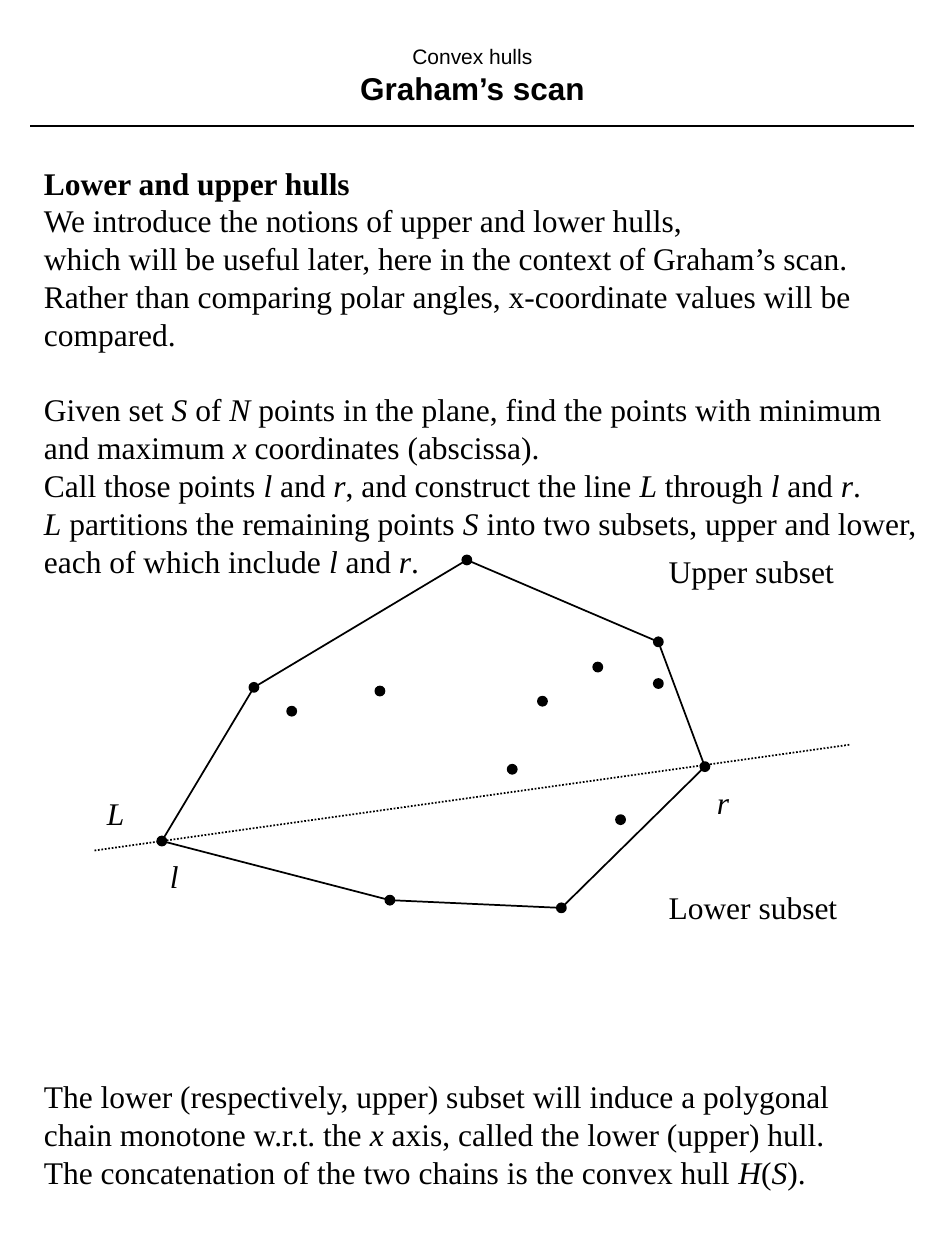
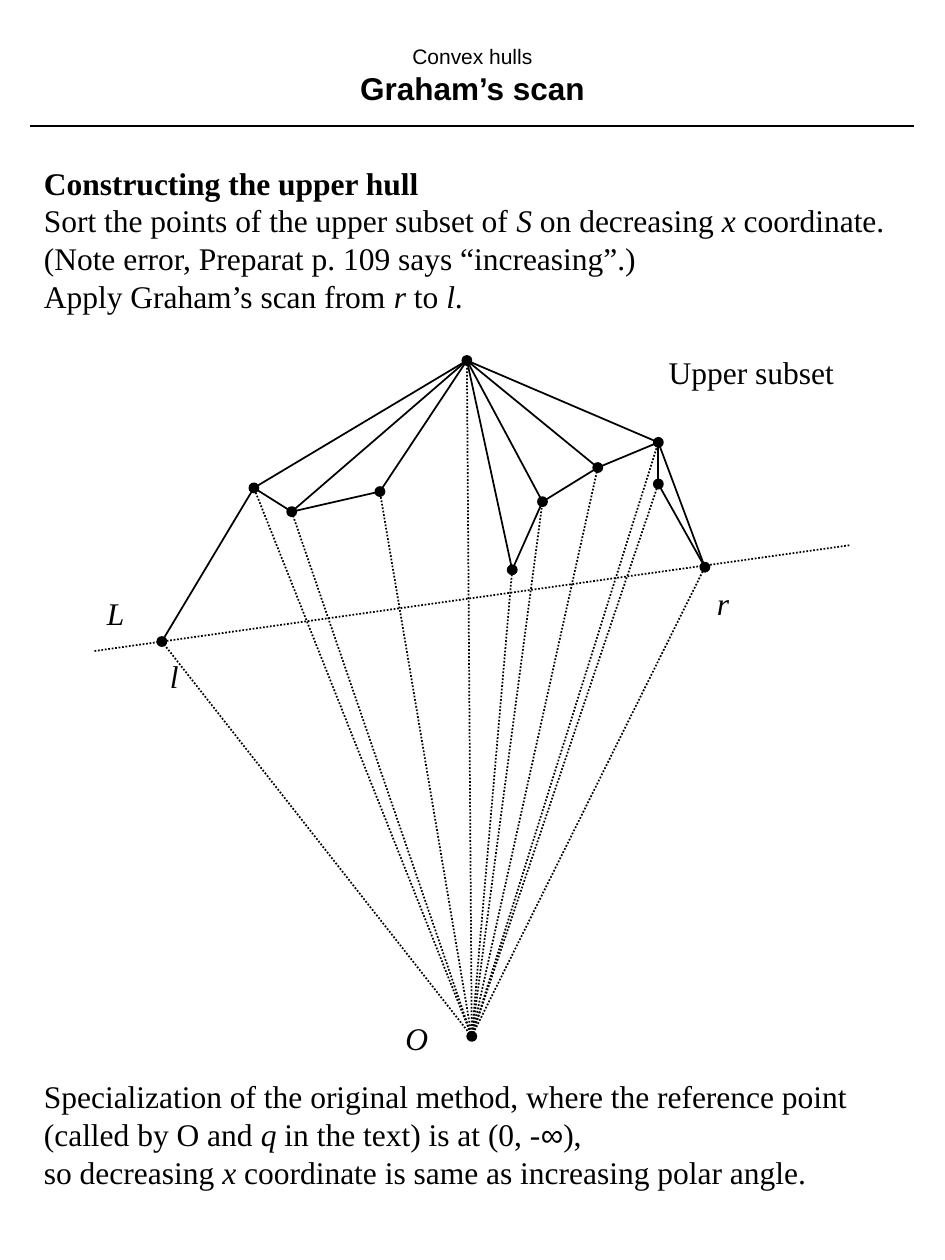
from itertools import pairwise

from lxml import etree
from pptx import Presentation
from pptx import util as u
from pptx.dml.color import RGBColor
from pptx.enum import dml, shapes, text
from pptx.oxml import ns

COLOURS = {"ink": "000000", "paper": "FFFFFF"}
SERIF, SANS = "Times New Roman", "Arial"
BODY_SIZE, LINE_PITCH = 18, 21.6
DOT_SIZE = 5.2
UPPER_HULL_RISE = 114  # the second figure stands this much higher

# Centres of the points in the first figure
POINTS = {
    "l": (92.5, 480.6), "r": (402.8, 438.1),
    "left": (145.1, 392.8), "top": (266.8, 320), "right": (376.2, 366.8),
    "in1": (166.7, 406.4), "in2": (217.1, 394.9), "in3": (292.7, 439.6),
    "in4": (310, 400.7), "in5": (341.6, 381.2), "in6": (376.2, 390.6),
    "low1": (222.8, 514.4), "low2": (320.8, 518.8), "low_in": (354.6, 468.4),
    "O": (269.6, 706.2),
}
UPPER_SUBSET = ["l", "left", "in1", "in2", "top", "in3",
                "in4", "in5", "right", "in6", "r"]
LOWER_SUBSET = ["low1", "low2", "low_in"]
UPPER_HULL = ["l", "left", "top", "right", "r"]
LOWER_HULL = ["l", "low1", "low2", "r"]
SCAN_CHAIN = ["r", "in6", "right", "in5", "in4", "in3", "top",
              "in2", "in1", "left"]
SCAN_CHORDS = [("in4", "top"), ("in5", "top"), ("top", "in1")]


def ink():
    return RGBColor.from_string(COLOURS["ink"])


def add_span(para, words, font=SERIF, size=BODY_SIZE, bold=False, italic=False):
    span = para.add_run()
    span.text = words
    span.font.name, span.font.size = font, u.Pt(size)
    span.font.bold, span.font.italic = bold, italic
    span.font.color.rgb = ink()


def add_marked_text(para, words, bold=False):
    """Stars enclose italics; the infinity sign is set in the sans font."""
    for index, piece in enumerate(words.split("*")):
        before, sign, after = piece.partition("∞")
        for part, font in ((before, SERIF), (sign, SANS), (after, SERIF)):
            if part:
                add_span(para, part, font, bold=bold, italic=index % 2 == 1)


def add_text(page, left, top, width, lines, heading=False, gap_before=None):
    """Left-aligned lines; gap_before is the index of a line after a gap."""
    height = len(lines) * LINE_PITCH + 7.2
    box = page.shapes.add_textbox(u.Pt(left), u.Pt(top), u.Pt(width), u.Pt(height))
    frame = box.text_frame
    frame.word_wrap = False
    frame.auto_size = text.MSO_AUTO_SIZE.SHAPE_TO_FIT_TEXT
    for index, words in enumerate(lines):
        para = frame.add_paragraph() if index else frame.paragraphs[0]
        para.line_spacing = u.Pt(LINE_PITCH)
        if index and index == gap_before:
            para.space_before = u.Pt(LINE_PITCH)
        add_marked_text(para, words, bold=heading and index == 0)


def add_line(page, start, end, dotted=False):
    line = page.shapes.add_connector(
        shapes.MSO_CONNECTOR.STRAIGHT, *(u.Pt(value) for value in (*start, *end)))
    line.line.color.rgb = ink()
    line.line.width = u.Pt(1)
    if dotted:
        line.line.dash_style = dml.MSO_LINE.ROUND_DOT
    etree.SubElement(line._element.spPr, ns.qn("a:effectLst"))


def add_dot(page, centre):
    left, top = (value - DOT_SIZE / 2 for value in centre)
    dot = page.shapes.add_shape(shapes.MSO_SHAPE.OVAL, u.Pt(left), u.Pt(top),
                                u.Pt(DOT_SIZE), u.Pt(DOT_SIZE))
    dot.shadow.inherit = False
    dot.fill.solid()
    dot.fill.fore_color.rgb = ink()
    dot.line.color.rgb = ink()
    dot.line.width = u.Pt(1)


def add_page(deck):
    """Blank page with the shared title and rule."""
    page = deck.slides.add_slide(deck.slide_layouts[6])
    page.background.fill.solid()
    page.background.fill.fore_color.rgb = RGBColor.from_string(COLOURS["paper"])
    box = page.shapes.add_textbox(u.Pt(18), u.Pt(18), u.Pt(504), u.Pt(49.7))
    frame = box.text_frame
    frame.word_wrap = True
    frame.vertical_anchor = text.MSO_ANCHOR.MIDDLE
    para = frame.paragraphs[0]
    para.alignment = text.PP_ALIGN.CENTER
    add_span(para, "Convex hulls", SANS, 12)
    para.add_line_break()
    add_span(para, "Graham’s scan", SANS, bold=True)
    add_line(page, (522, 72), (17.3, 72))
    return page


def add_figure(page, names, edges, rays=(), rise=0):
    """Points, solid edges, dotted rays, the line L and the shared labels."""
    def place(name):
        x, y = POINTS[name]
        return x, y - rise

    for name in names:
        add_dot(page, place(name))
    add_line(page, (54, 486 - rise), (486, 425.5 - rise), dotted=True)
    for start, end in rays:
        add_line(page, place(start), place(end), dotted=True)
    for start, end in edges:
        add_line(page, place(start), place(end))
    for words, left, top, width in (("*L*", 54, 450, 24.5), ("*l*", 90, 486, 19.4),
                                    ("*r*", 402.5, 444, 20.9),
                                    ("Upper subset", 375, 312, 108.7)):
        add_text(page, left, top - rise, width, [words])


def add_hulls_page(deck):
    page = add_page(deck)
    add_text(page, 18, 90, 514, [
        "Lower and upper hulls",
        "We introduce the notions of upper and lower hulls,",
        "which will be useful later, here in the context of Graham’s scan.",
        "Rather than comparing polar angles, x-coordinate values will be",
        "compared.",
        "Given set *S* of *N* points in the plane, find the points with minimum",
        "and maximum *x* coordinates (abscissa).",
        "Call those points *l* and *r*, and construct the line *L* through *l* and *r*.",
        "*L* partitions the remaining points *S* into two subsets, upper and lower,",
        "each of which include *l* and *r*.",
    ], heading=True, gap_before=5)
    add_text(page, 18, 612, 464.4, [
        "The lower (respectively, upper) subset will induce a polygonal",
        "chain monotone w.r.t. the *x* axis, called the lower (upper) hull.",
        "The concatenation of the two chains is the convex hull *H*(*S*).",
    ])
    add_figure(page, UPPER_SUBSET + LOWER_SUBSET,
               [*pairwise(UPPER_HULL), *pairwise(LOWER_HULL)])
    add_text(page, 375, 504, 110.9, ["Lower subset"])


def add_scan_page(deck):
    page = add_page(deck)
    add_text(page, 18, 90, 494.6, [
        "Constructing the upper hull",
        "Sort the points of the upper subset of *S* on decreasing *x* coordinate.",
        "(Note error, Preparat p. 109 says “increasing”.)",
        "Apply Graham’s scan from *r* to *l*.",
    ], heading=True)
    add_text(page, 18, 612, 473.8, [
        "Specialization of the original method, where the reference point",
        "(called by O and *q* in the text) is at (0, -∞),",
        "so decreasing *x* coordinate is same as increasing polar angle.",
    ])
    add_figure(page, UPPER_SUBSET + ["O"],
               [*pairwise(UPPER_HULL), *pairwise(SCAN_CHAIN), *SCAN_CHORDS],
               rays=[("O", name) for name in UPPER_SUBSET], rise=UPPER_HULL_RISE)
    add_text(page, 224.6, 579, 27.4, ["*O*"])


def main():
    deck = Presentation()
    deck.slide_width, deck.slide_height = u.Pt(540), u.Pt(720)
    add_hulls_page(deck)
    add_scan_page(deck)
    deck.save("out.pptx")


if __name__ == "__main__":
    main()
